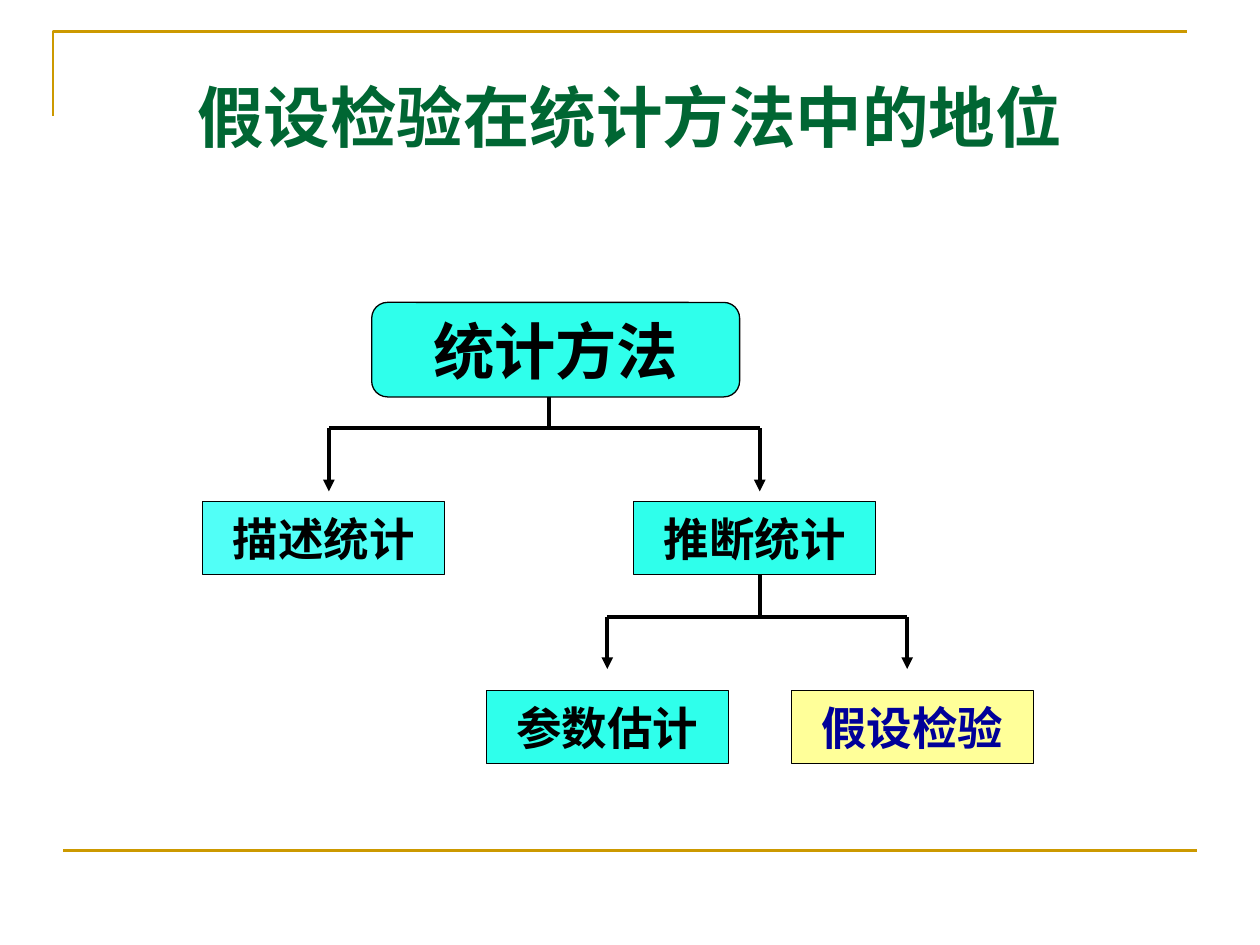
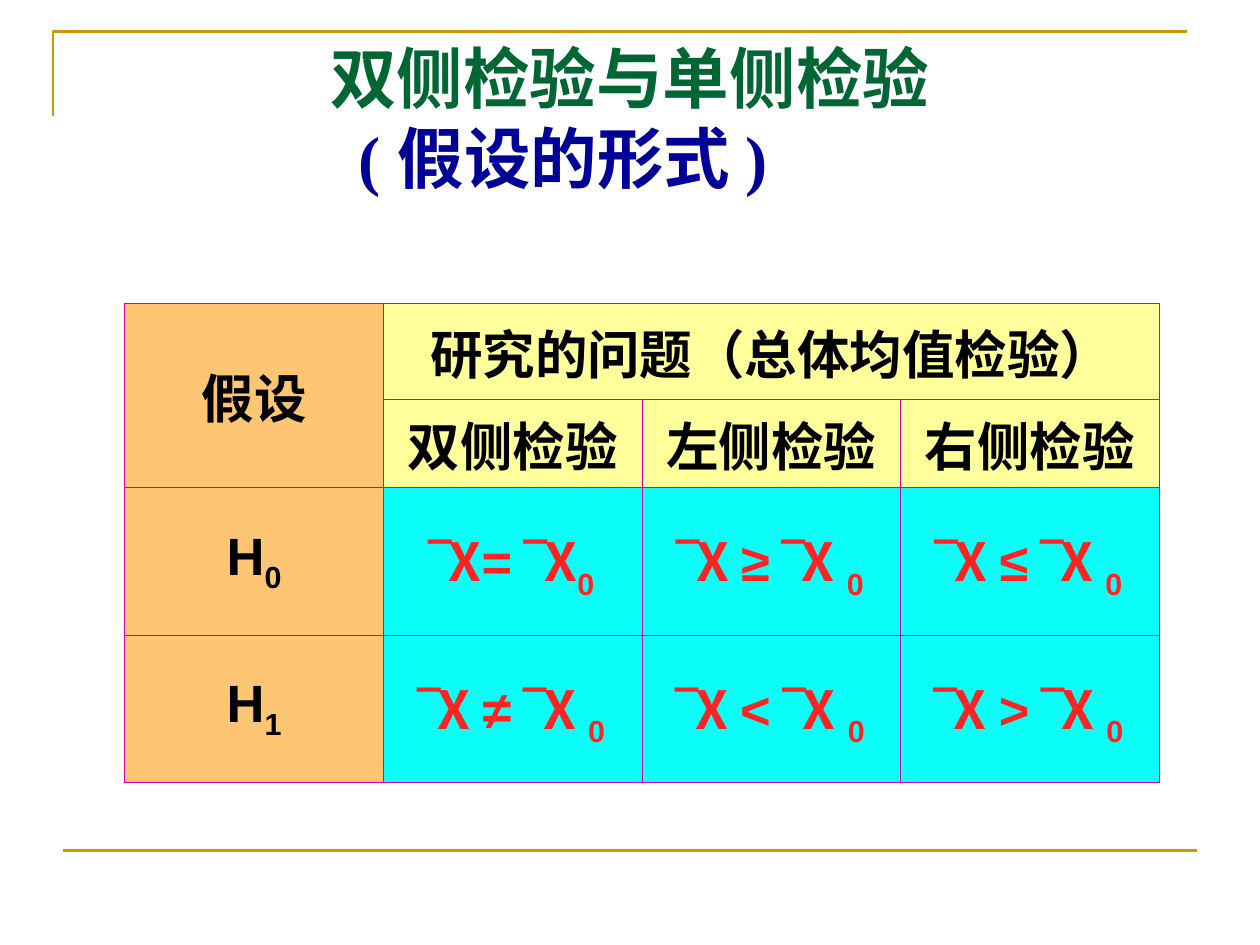
from dataclasses import dataclass

from lxml.etree import SubElement
from pptx import Presentation
from pptx.dml.color import RGBColor
from pptx.enum.shapes import MSO_CONNECTOR, MSO_SHAPE
from pptx.enum.text import MSO_ANCHOR, PP_ALIGN
from pptx.oxml import parse_xml
from pptx.oxml.ns import nsdecls, qn
from pptx.util import Inches, Pt

SLIDE_W, SLIDE_H = Inches(10), Inches(7.5)
COLUMNS, ROWS = 100, 75
SERIF, SANS, CJK = "Times New Roman", "Arial", "Noto Sans CJK SC"
COLORS = {
    "rule": "CC9900", "title": "006633", "accent": "000099", "ink": "000000",
    "node": "2FFFEB", "pale_node": "51FFF7", "focus": "FFFF99",
    "side": "FEC674", "head": "FFFF9B", "body": "0BFFF9",
    "formula": "FF2323", "border": "D200AF",
}


@dataclass
class Box:
    """A region in grid columns and rows."""
    left: float
    top: float
    width: float
    height: float

    def inner(self, x, y, width, height):
        """Return a region offset from this one's corner."""
        return Box(self.left + x, self.top + y, width, height)

    def point(self, x, y):
        """Return slide coordinates of a place in this region."""
        return (round((self.left + x) * SLIDE_W / COLUMNS),
                round((self.top + y) * SLIDE_H / ROWS))

    def frame(self):
        """Return left, top, width and height in slide units."""
        return (*self.point(0, 0), round(self.width * SLIDE_W / COLUMNS),
                round(self.height * SLIDE_H / ROWS))


PAGE = Box(0, 0, COLUMNS, ROWS)


def color(key):
    """Look up a palette colour."""
    return RGBColor.from_string(COLORS[key])


def write(paragraph, text, size=30, ink="ink", font=SANS, ea=CJK, baseline=0):
    """Add one bold run with the given format."""
    run = paragraph.add_run()
    run.text = text
    run.font.size, run.font.bold, run.font.name = Pt(size), True, font
    run.font.color.rgb = color(ink)
    properties = run._r.get_or_add_rPr()
    SubElement(properties, qn("a:ea")).set("typeface", ea)
    if baseline:
        properties.set("baseline", str(baseline * 1000))


def draw_line(slide, start, end, ink="ink", weight=2.25, arrow=False):
    """Draw a straight line, with an optional arrowhead."""
    line = slide.shapes.add_connector(MSO_CONNECTOR.STRAIGHT, *start, *end)
    line.line.color.rgb, line.line.width = color(ink), Pt(weight)
    properties = line._element.spPr
    if arrow:
        SubElement(properties.find(qn("a:ln")), qn("a:tailEnd")).set("type", "triangle")
    SubElement(properties, qn("a:effectLst"))


def draw_frame(slide):
    """Draw the corner rule and the bottom rule of every slide."""
    builder = slide.shapes.build_freeform(*PAGE.point(4.2, 9.2))
    builder.add_line_segments([PAGE.point(4.2, 2.5), PAGE.point(94.2, 2.5)], close=False)
    corner = builder.convert_to_shape()
    corner.shadow.inherit = False
    corner.fill.background()
    corner.line.color.rgb, corner.line.width = color("rule"), Pt(1.5)
    draw_line(slide, PAGE.point(5, 67.5), PAGE.point(95, 67.5), "rule", 1.5)


def add_title(slide, box, heading, subheading=None):
    """Set a centred heading and an optional indented second line."""
    frame = slide.shapes.add_textbox(*box.frame()).text_frame
    frame.word_wrap, frame.vertical_anchor = True, MSO_ANCHOR.MIDDLE
    first = frame.paragraphs[0]
    first.alignment = PP_ALIGN.CENTER
    write(first, heading, size=38, ink="title", font=SERIF)
    if subheading:
        second = frame.add_paragraph()
        second._p.get_or_add_pPr().set("marL", str(Inches(2.25)))
        write(second, subheading, size=38, ink="accent", font=SERIF)
        for paragraph in frame.paragraphs:
            paragraph.line_spacing = Pt(46)


def add_node(slide, box, text, fill="node", ink="ink", size=26, outline=MSO_SHAPE.RECTANGLE):
    """Draw one labelled node of the tree."""
    node = slide.shapes.add_shape(outline, *box.frame())
    node.shadow.inherit = False
    node.fill.solid()
    node.fill.fore_color.rgb = color(fill)
    node.line.color.rgb, node.line.width = color("ink"), Pt(0.75)
    frame = node.text_frame
    frame.margin_top = frame.margin_bottom = 0
    frame.vertical_anchor = MSO_ANCHOR.MIDDLE
    frame.paragraphs[0].alignment = PP_ALIGN.CENTER
    write(frame.paragraphs[0], text, size=size, ink=ink, font=SERIF)


def add_branch(slide, box, stem, top, bar, tip, drops):
    """Draw a stem, a crossbar and an arrow down to each child."""
    draw_line(slide, box.point(stem, top), box.point(stem, bar))
    draw_line(slide, box.point(min(drops), bar), box.point(max(drops), bar))
    for drop in drops:
        draw_line(slide, box.point(drop, bar), box.point(drop, tip), arrow=True)


def add_tree(slide, box):
    """Draw the tree of statistical methods."""
    add_node(slide, box.inner(13.4, 0, 29.2, 7.5), "统计方法", size=35,
             outline=MSO_SHAPE.ROUNDED_RECTANGLE)
    for x, y, text, fill, ink in (
        (0, 15.8, "描述统计", "pale_node", "ink"),
        (34.2, 15.8, "推断统计", "node", "ink"),
        (22.5, 30.8, "参数估计", "node", "ink"),
        (46.7, 30.8, "假设检验", "focus", "accent"),
    ):
        add_node(slide, box.inner(x, y, 19.2, 5.8), text, fill, ink)
    add_branch(slide, box, 27.5, 7.5, 10, 15, (10, 44.2))
    add_branch(slide, box, 44.2, 21.6, 25, 29.1, (32.1, 55.9))


def style_cell(cell, fill):
    """Fill, border and centre a cell, and return its paragraph."""
    cell.fill.solid()
    cell.fill.fore_color.rgb = color(fill)
    properties = cell._tc.get_or_add_tcPr()
    for place, side in enumerate(("lnL", "lnR", "lnT", "lnB")):
        properties.insert(place, parse_xml(
            f'<a:{side} {nsdecls("a")} w="{Pt(0.45)}"><a:solidFill>'
            f'<a:srgbClr val="{COLORS["border"]}"/></a:solidFill></a:{side}>'))
    cell.vertical_anchor = MSO_ANCHOR.MIDDLE
    paragraph = cell.text_frame.paragraphs[0]
    paragraph.alignment = PP_ALIGN.CENTER
    return paragraph


def write_formula(paragraph, relation, gap):
    """Write a comparison of the mean with its hypothesised value."""
    for text, font, baseline in (
        ("‾", SANS, 0), ("X" + gap, CJK, 0), (relation + " ‾", SANS, 0),
        ("X" + gap, CJK, 0), ("0", SANS, -25),
    ):
        write(paragraph, text, ink="formula", font=font, ea=font, baseline=baseline)


def add_hypotheses(slide, box):
    """Build the table of hypotheses for each kind of test."""
    heights = (7.6, 7, 11.7, 11.7)
    table = slide.shapes.add_table(4, 4, *box.frame()).table
    for column in table.columns:
        column.width = round(box.frame()[2] / 4)
    for row, height in zip(table.rows, heights):
        row.height = round(height * SLIDE_H / ROWS)
    paragraphs = [[style_cell(table.cell(r, c),
                              "side" if c == 0 else "head" if r < 2 else "body")
                   for c in range(4)] for r in range(4)]
    table.cell(0, 0).merge(table.cell(1, 0))
    table.cell(0, 1).merge(table.cell(0, 3))
    write(paragraphs[0][0], "假设")
    write(paragraphs[0][1], "研究的问题（总体均值检验）", font=CJK)
    for paragraph, test in zip(paragraphs[1][1:], ("双侧检验", "左侧检验", "右侧检验")):
        write(paragraph, test, font=CJK)
    relations = ((("=", ""), ("≥", " "), ("≤", " ")),
                 (("≠", " "), ("<", " "), (">", " ")))
    for number, (line, formulas) in enumerate(zip(paragraphs[2:], relations)):
        write(line[0], "H")
        write(line[0], str(number), baseline=-25)
        for paragraph, (relation, gap) in zip(line[1:], formulas):
            write_formula(paragraph, relation, gap)


def main():
    """Build and save both slides."""
    deck = Presentation()
    deck.slide_width, deck.slide_height = SLIDE_W, SLIDE_H
    tree_slide, test_slide = (deck.slides.add_slide(deck.slide_layouts[6]) for _ in range(2))
    draw_frame(tree_slide)
    add_title(tree_slide, Box(5, 5.2, 90, 8), "假设检验在统计方法中的地位")
    add_tree(tree_slide, Box(16.1, 24, 65.9, 36.6))
    draw_frame(test_slide)
    add_title(test_slide, Box(5, 3, 90, 12.5), "双侧检验与单侧检验", "( 假设的形式 )")
    add_hypotheses(test_slide, Box(9.9, 24.1, 82.1, 38))
    deck.save("out.pptx")


if __name__ == "__main__":
    main()
